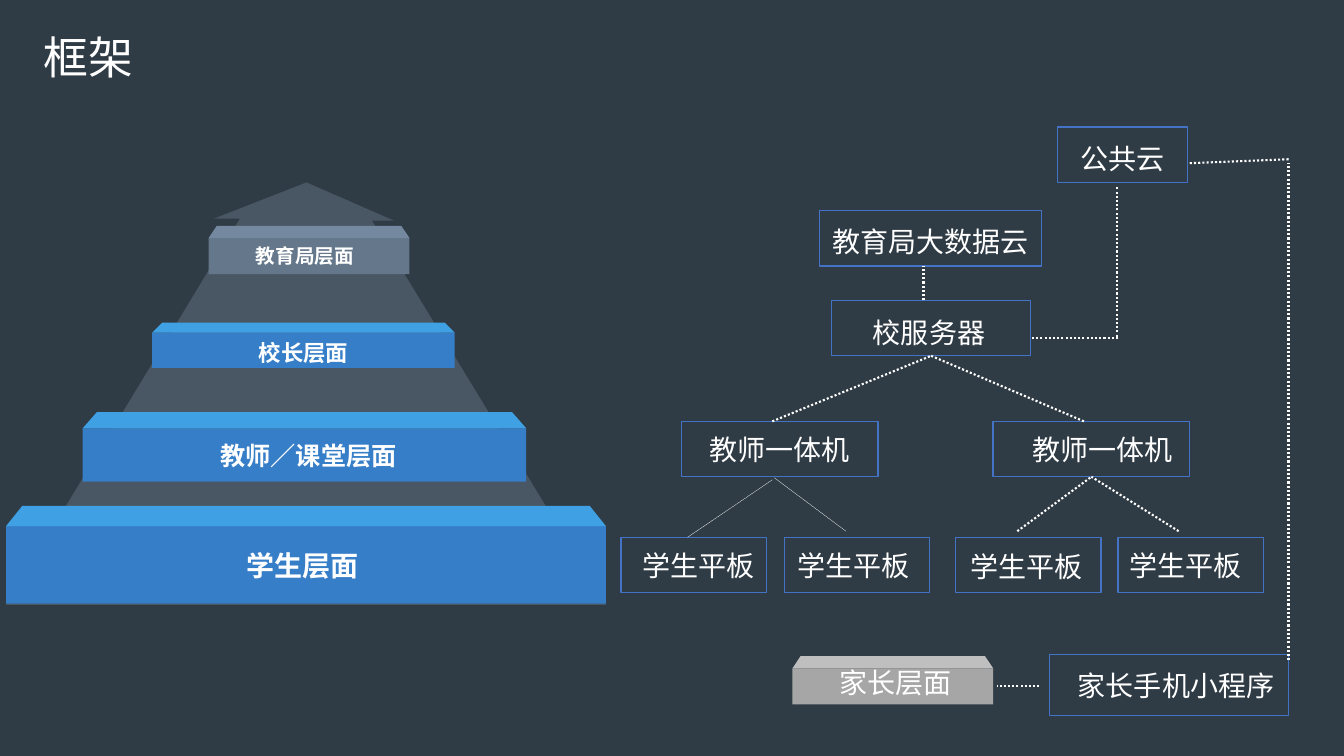
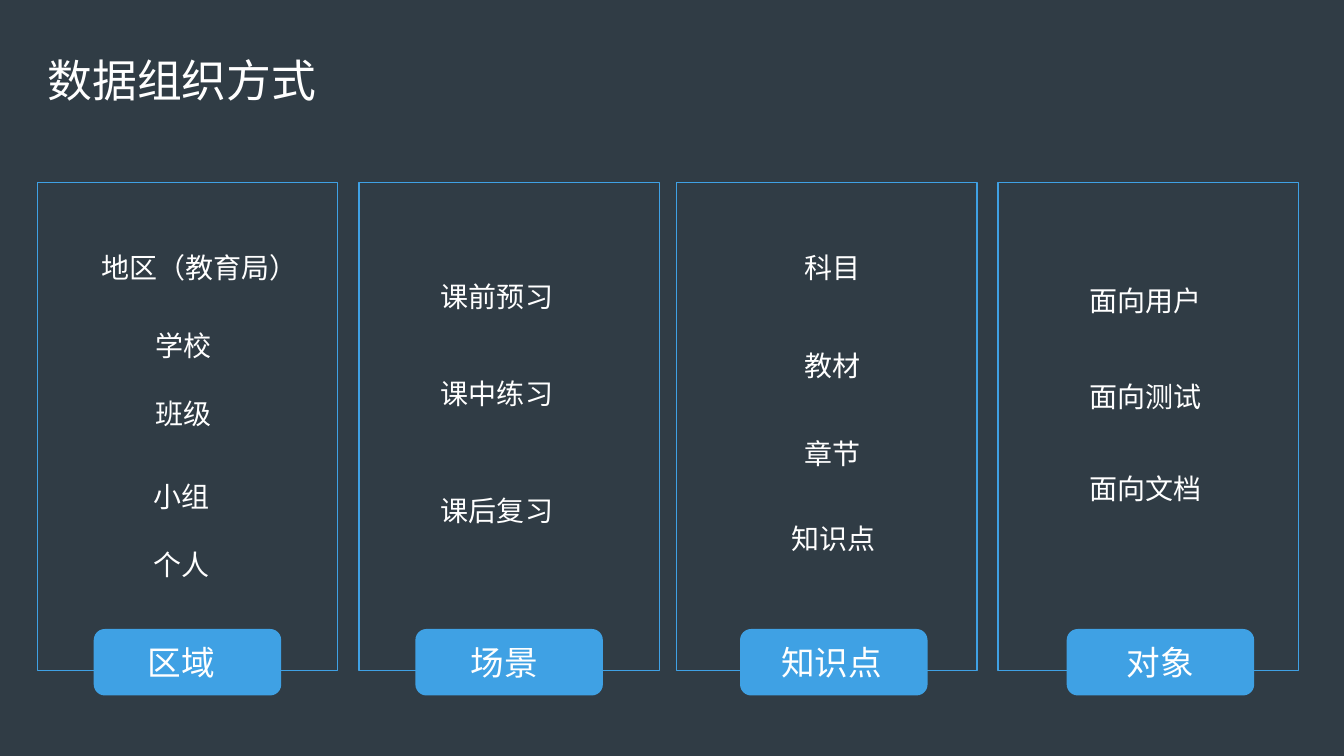
import pptx
import pptx.dml.color
import pptx.enum.dml
import pptx.enum.shapes
import pptx.enum.text
import pptx.oxml.ns
import pptx.util
from lxml import etree

Inches = pptx.util.Inches
RGBColor = pptx.dml.color.RGBColor
Shape = pptx.enum.shapes.MSO_SHAPE
Align = pptx.enum.text.PP_ALIGN
Anchor = pptx.enum.text.MSO_ANCHOR

BACKGROUND = RGBColor(0x30, 0x3C, 0x45)
WHITE = RGBColor(0xFF, 0xFF, 0xFF)
BLUE = RGBColor(0x36, 0x7E, 0xC8)
SKY = RGBColor(0x3F, 0xA1, 0xE4)
OUTLINE = RGBColor(0x44, 0x72, 0xC4)
SLATE = RGBColor(0x65, 0x77, 0x8B)
PALE_SLATE = RGBColor(0x74, 0x88, 0xA0)
ARROW = RGBColor(0x49, 0x57, 0x64)
GRAY = RGBColor(0xA6, 0xA6, 0xA6)
PALE_GRAY = RGBColor(0xBF, 0xBF, 0xBF)
FONT = "Noto Sans CJK SC"

ARROW_POINTS = [(3.04, 1.81), (2.12, 2.17), (2.38, 2.17), (0.06, 6),
                (6.01, 6), (3.69, 2.19), (3.91, 2.19)]

TIERS = [
    ("学生层面", (0.06, 5.22, 5.95, 0.77), 0.2, 0.16, (BLUE, SKY), 20, True, (-0.03, 0)),
    ("教师／课堂层面", (0.82, 4.25, 4.4, 0.53), 0.16, 0.14, (BLUE, SKY), 18, True, (0.04, 0)),
    ("校长层面", (1.51, 3.3, 3, 0.35), 0.1, 0.1, (BLUE, SKY), 16, True, (0, 0.02)),
    ("教育局层面", (2.07, 2.36, 1.99, 0.36), 0.12, 0.08, (SLATE, PALE_SLATE), 14, True, (-0.04, 0)),
    ("家长层面", (7.86, 6.63, 1.99, 0.36), 0.12, 0.08, (GRAY, PALE_GRAY), 20, False, (0.03, -0.04)),
]

NODES = {
    "bureau": ("教育局大数据云", (8.13, 2.09, 2.2, 0.55), (0, 0.03)),
    "server": ("校服务器", (8.25, 2.98, 1.97, 0.55), (-0.02, 0.04)),
    "left teacher": ("教师一体机", (6.76, 4.18, 1.95, 0.55), (0, 0)),
    "right teacher": ("教师一体机", (9.85, 4.18, 1.95, 0.55), (0.11, 0)),
    "tablet 1": ("学生平板", (6.16, 5.33, 1.44, 0.55), (0.05, 0)),
    "tablet 2": ("学生平板", (7.78, 5.33, 1.44, 0.55), (-0.03, 0)),
    "tablet 3": ("学生平板", (9.48, 5.33, 1.44, 0.55), (-0.02, 0.01)),
    "tablet 4": ("学生平板", (11.09, 5.33, 1.44, 0.55), (-0.05, 0)),
    "cloud": ("公共云", (10.49, 1.26, 1.29, 0.55), (0, 0.04)),
    "parent": ("家长手机小程序", (10.41, 6.49, 2.37, 0.61), (0.07, 0)),
}

LINKS = [
    ((6.82, 5.33), (7.66, 4.76), 0.25, None),
    ((8.39, 5.27), (7.68, 4.74), 0.25, None),
    ((10.09, 5.27), (10.83, 4.73), 1.5, "right teacher"),
    ((11.69, 5.27), (10.83, 4.73), 1.5, "right teacher"),
    ((7.66, 4.18), (9.23, 3.53), 1.5, "server"),
    ((10.75, 4.18), (9.23, 3.53), 1.5, "server"),
    ((9.16, 2.98), (9.16, 2.64), 1.5, None),
    ((11.09, 3.35), (10.24, 3.35), 1.5, None),
    ((11.08, 3.34), (11.08, 1.86), 1.5, None),
    ((12.78, 6.55), (12.78, 1.62), 1.5, None),
    ((12.78, 1.58), (11.78, 1.62), 1.5, None),
    ((10.31, 6.81), (9.89, 6.81), 1.5, None),
]

COLUMNS = [
    ("区域", 0.37, 0.93, -0.06,
     [("地区（教育局）", 1.98, 2.65), ("学校", 1.82, 3.43), ("班级", 1.82, 4.1),
      ("小组", 1.8, 4.92), ("个人", 1.8, 5.6)]),
    ("场景", 3.56, 4.12, -0.05,
     [("课前预习", 4.93, 2.94), ("课中练习", 4.93, 3.9), ("课后复习", 4.93, 5.06)]),
    ("知识点", 6.71, 7.34, -0.02,
     [("科目", 8.26, 2.65), ("教材", 8.26, 3.62), ("章节", 8.26, 4.5),
      ("知识点", 8.27, 5.34)]),
    ("对象", 9.9, 10.58, 0,
     [("面向用户", 11.36, 2.98), ("面向测试", 11.36, 3.93), ("面向文档", 11.36, 4.84)]),
]


def apply(target, values):
    for name, value in values.items():
        setattr(target, name, value)


def write(box, text, size, bold=False, align=Align.CENTER):
    para = box.text_frame.paragraphs[0]
    para.alignment = align
    span = para.add_run()
    span.text = text
    apply(span.font, {"size": pptx.util.Pt(size), "bold": bold, "name": FONT})
    span.font.color.rgb = WHITE
    east_asian = etree.SubElement(span._r.get_or_add_rPr(), pptx.oxml.ns.qn("a:ea"))
    east_asian.set("typeface", FONT)


def write_centered(box, text, size, bold=False, shift=(0, 0)):
    across, down = shift
    apply(box.text_frame, {
        "word_wrap": True,
        "vertical_anchor": Anchor.MIDDLE,
        "margin_left": Inches(max(0, 2 * across)),
        "margin_right": Inches(max(0, -2 * across)),
        "margin_top": Inches(max(0, 2 * down)),
        "margin_bottom": Inches(max(0, -2 * down)),
    })
    write(box, text, size, bold)


def paint(box, fill=None, line=None):
    box.shadow.inherit = False
    if fill is None:
        box.fill.background()
    else:
        box.fill.solid()
        box.fill.fore_color.rgb = fill
    if line is None:
        box.line.fill.background()
    else:
        box.line.color.rgb = line
        box.line.width = pptx.util.Pt(1)


def add_block(page, bounds, fill=None, line=None, kind=Shape.RECTANGLE):
    box = page.shapes.add_shape(kind, *map(Inches, bounds))
    paint(box, fill, line)
    return box


def add_polygon(page, points, fill):
    corners = [(Inches(x), Inches(y)) for x, y in points]
    builder = page.shapes.build_freeform(*corners[0], scale=1.0)
    builder.add_line_segments(corners[1:], close=True)
    paint(builder.convert_to_shape(), fill)


def add_tier(page, text, bounds, depth, inset, colors, size, bold, shift):
    left, top, width, height = bounds
    right = left + width
    front, lid = colors
    box = add_block(page, bounds, front)
    write_centered(box, text, size, bold, shift)
    add_polygon(page, [(left + inset, top - depth), (left, top),
                       (right, top), (right - inset, top - depth)], lid)


def add_node(page, text, bounds, shift):
    box = add_block(page, bounds, line=OUTLINE)
    write_centered(box, text, 20, shift=shift)
    return box


def add_dotted_line(page, start, end, weight, end_box=None):
    line = page.shapes.add_connector(
        pptx.enum.shapes.MSO_CONNECTOR.STRAIGHT, *map(Inches, start + end))
    if end_box is not None:
        line.end_connect(end_box, 2)
    line.line.color.rgb = WHITE
    apply(line.line, {"width": pptx.util.Pt(weight),
                      "dash_style": pptx.enum.dml.MSO_LINE.ROUND_DOT})
    etree.SubElement(line._element.spPr, pptx.oxml.ns.qn("a:effectLst"))


def add_item(page, text, center, middle):
    width, height = 2.2, 0.56
    box = page.shapes.add_textbox(Inches(center - width / 2), Inches(middle - height / 2),
                                  Inches(width), Inches(height))
    write_centered(box, text, 20)


def add_column(page, heading, left, tab_left, shift, items):
    add_block(page, (left, 1.81, 2.98, 4.84), line=SKY)
    tab = add_block(page, (tab_left, 6.24, 1.86, 0.66), SKY, kind=Shape.ROUNDED_RECTANGLE)
    write_centered(tab, heading, 24, shift=(shift, 0))
    for item in items:
        add_item(page, *item)


def add_page(deck, title, left, top):
    page = deck.slides.add_slide(deck.slide_layouts.get_by_name("Title Only"))
    box = page.shapes.title
    apply(box, {"left": Inches(left), "top": Inches(top),
                "width": Inches(3.46), "height": Inches(0.64)})
    apply(box.text_frame, {"word_wrap": True, "vertical_anchor": Anchor.TOP,
                           "auto_size": pptx.enum.text.MSO_AUTO_SIZE.NONE})
    write(box, title, 32, align=Align.LEFT)
    return page


def add_framework(deck):
    page = add_page(deck, "框架", 0.33, 0.24)
    add_polygon(page, ARROW_POINTS, ARROW)
    for tier in TIERS:
        add_tier(page, *tier)
    nodes = {name: add_node(page, *node) for name, node in NODES.items()}
    for start, end, weight, target in LINKS:
        add_dotted_line(page, start, end, weight, nodes.get(target))


def add_data_organization(deck):
    page = add_page(deck, "数据组织方式", 0.37, 0.47)
    for column in COLUMNS:
        add_column(page, *column)


def main():
    deck = pptx.Presentation()
    apply(deck, {"slide_width": Inches(13.33), "slide_height": Inches(7.5)})
    backdrop = deck.slide_master.background.fill
    backdrop.solid()
    backdrop.fore_color.rgb = BACKGROUND
    add_framework(deck)
    add_data_organization(deck)
    deck.save("out.pptx")


if __name__ == "__main__":
    main()
